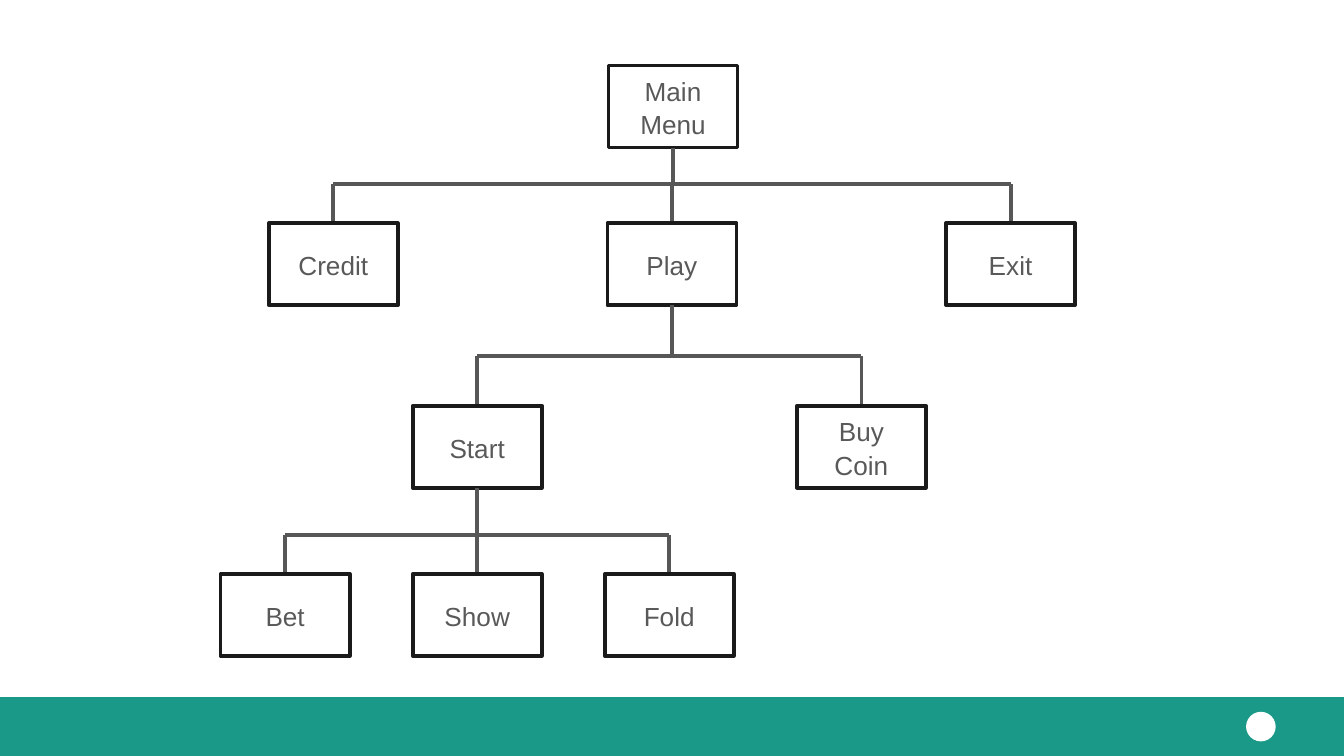
from lxml import etree
from pptx import Presentation
from pptx.dml.color import RGBColor
from pptx.enum import shapes, text
from pptx.oxml import ns
from pptx.util import Cm, Pt

WHITE = RGBColor(0xFF, 0xFF, 0xFF)
TEAL = RGBColor(0x1A, 0x99, 0x88)
BORDER = RGBColor(0x1A, 0x1A, 0x1A)
LINK = RGBColor(0x57, 0x57, 0x57)
LABEL = RGBColor(0x59, 0x59, 0x59)

NODE_WIDTH, NODE_HEIGHT = 2.44, 1.55

# Lengths in cm. Each branch: parent, bar height, children top, middle, step, names
BRANCHES = [
    ("Main\nMenu", 3.48, 4.22, 12.7, 6.4, ["Credit", "Play", "Exit"]),
    ("Play", 6.73, 7.67, 12.65, 7.26, ["Start", "Buy Coin"]),
    ("Start", 10.11, 10.85, 9.02, 3.63, ["Bet", "Show", "Fold"]),
]


def add_filled(slide, preset, left, top, width, height, fill, line=None):
    shape = slide.shapes.add_shape(
        preset, Cm(left), Cm(top), Cm(width), Cm(height))
    shape.shadow.inherit = False
    shape.fill.solid()
    shape.fill.fore_color.rgb = fill
    if line is None:
        shape.line.fill.background()
    else:
        shape.line.color.rgb = line
        shape.line.width = Pt(2)
    return shape


def write(shape, wording, *, size=14, font="Arial", color=LABEL, spacing=1.07):
    frame = shape.text_frame
    frame.word_wrap = True
    frame.vertical_anchor = text.MSO_ANCHOR.MIDDLE
    frame.text = wording
    for paragraph in frame.paragraphs:
        paragraph.alignment = text.PP_ALIGN.CENTER
        paragraph.line_spacing = spacing
        paragraph.font.size = Pt(size)
        paragraph.font.name = font
        paragraph.font.color.rgb = color


def add_link(slide, x1, y1, x2, y2):
    link = slide.shapes.add_connector(
        shapes.MSO_CONNECTOR.STRAIGHT, Cm(x1), Cm(y1), Cm(x2), Cm(y2))
    link.line.color.rgb = LINK
    link.line.width = Pt(2)
    etree.SubElement(link._element.spPr, ns.qn("a:effectLst"))


def add_node(slide, name, center, top):
    """Draw a named box and return its bottom centre."""
    node = add_filled(slide, shapes.MSO_SHAPE.RECTANGLE, center - NODE_WIDTH / 2,
                      top, NODE_WIDTH, NODE_HEIGHT, WHITE, BORDER)
    write(node, name)
    return center, top + NODE_HEIGHT


def add_branch(slide, parent, bar, top, middle, step, names):
    """Link a parent's bottom centre to a row of nodes; return their bottoms."""
    first = middle - step * (len(names) - 1) / 2
    centers = [first + step * index for index in range(len(names))]
    x, y = parent
    add_link(slide, x, y, x, bar)
    add_link(slide, centers[0], bar, centers[-1], bar)
    for center in centers:
        add_link(slide, center, bar, center, top)
    return {name: add_node(slide, name, center, top)
            for name, center in zip(names, centers)}


def add_menu_tree(slide):
    bottoms = {"Main\nMenu": add_node(slide, "Main\nMenu", 12.72, 1.24)}
    for parent, *layout in BRANCHES:
        bottoms.update(add_branch(slide, bottoms[parent], *layout))


def add_footer(slide, left, top, width, height):
    add_filled(slide, shapes.MSO_SHAPE.RECTANGLE, left, top, width, height, TEAL)
    dot = 0.56
    add_filled(slide, shapes.MSO_SHAPE.OVAL, left + width - 1.85,
               top + (height - dot) / 2, dot, dot, WHITE)


def main():
    presentation = Presentation()
    presentation.slide_width = Cm(25.4)
    presentation.slide_height = Cm(14.29)
    slide = presentation.slides.add_slide(presentation.slide_layouts[6])
    add_footer(slide, 0, 13.18, 25.4, 1.11)
    add_menu_tree(slide)
    presentation.save("out.pptx")


if __name__ == "__main__":
    main()
